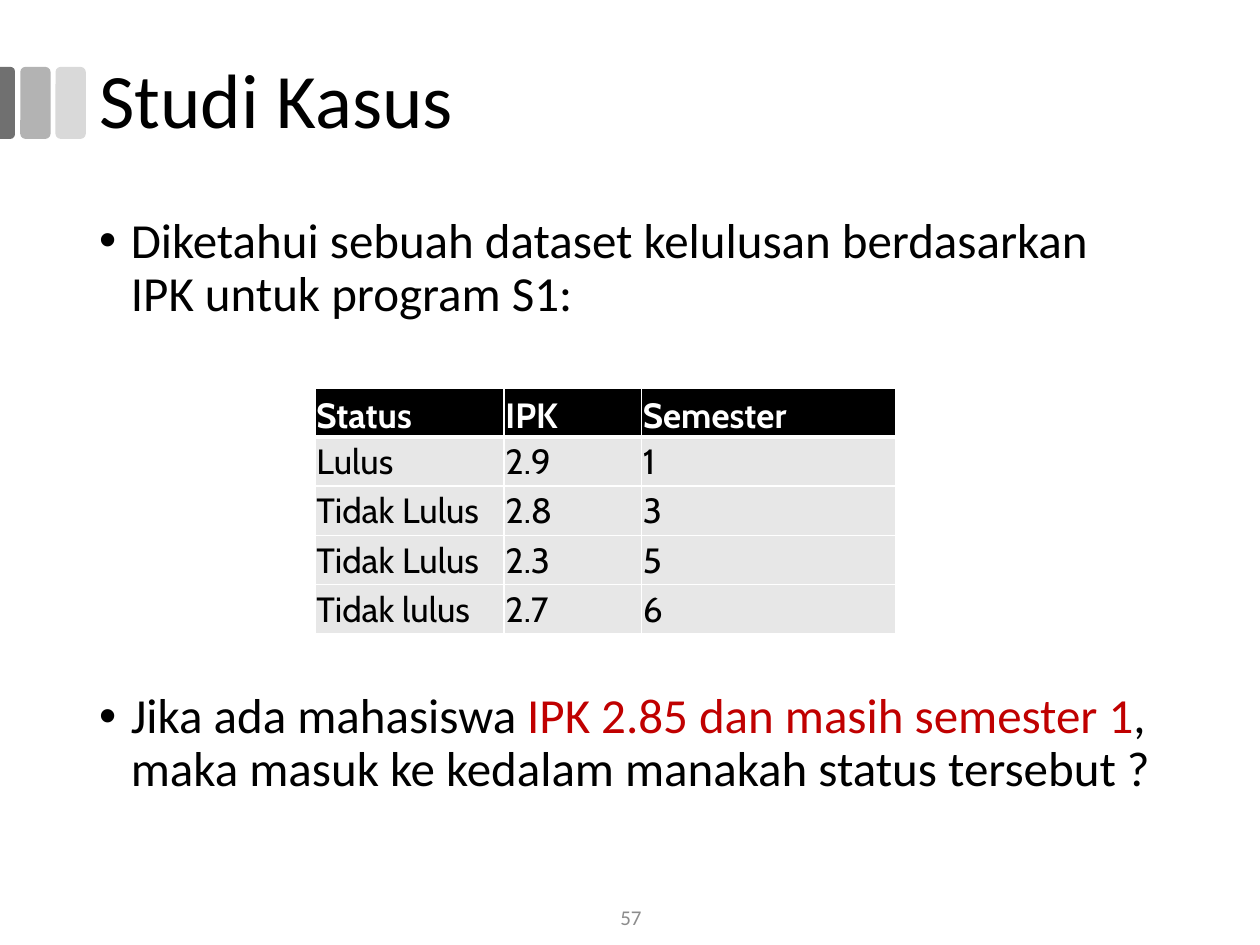
import pptx
import pptx.util
import pptx.dml.color
import pptx.enum.shapes
import pptx.enum.text
import pptx.oxml
import pptx.oxml.ns
import lxml.etree

Cm, Pt = pptx.util.Cm, pptx.util.Pt
RGB = pptx.dml.color.RGBColor.from_string
SHAPE = pptx.enum.shapes.MSO_SHAPE
ANCHOR = pptx.enum.text.MSO_ANCHOR
ALIGN = pptx.enum.text.PP_ALIGN
NO_FIT = pptx.enum.text.MSO_AUTO_SIZE.NONE
qn = pptx.oxml.ns.qn

TITLE = "Studi Kasus"
BULLETS = [
    (0, [("Diketahui sebuah dataset kelulusan berdasarkan IPK untuk program S1:", "body")]),
    (211, [("Jika ada mahasiswa ", "body"),
           ("IPK 2.85 dan masih semester 1", "accent"),
           (", maka masuk ke kedalam manakah status tersebut ?", "body")]),
]
TABLE = [
    ("Status", "IPK", "Semester"),
    ("Lulus", "2.9", "1"),
    ("Tidak Lulus", "2.8", "3"),
    ("Tidak Lulus", "2.3", "5"),
    ("Tidak lulus", "2.7", "6"),
]
PAGE = "57"

THEME = {
    "title": {"name": "Calibri", "size": Pt(44), "color": "000000"},
    "body": {"name": "Calibri", "size": Pt(28), "color": "000000"},
    "accent": {"name": "Calibri", "size": Pt(28), "color": "C00000"},
    "head": {"name": "Cabin", "size": Pt(20), "color": "FFFFFF", "bold": True},
    "cell": {"name": "Cabin", "size": Pt(20), "color": "000000", "bold": False},
    "page": {"name": "Calibri", "size": Pt(12), "color": "8C8C8C"},
    "head_fill": "000000",
    "cell_fill": "E7E7E7",
    "border": "FFFFFF",
    "bars": ["B3B3B3", "D9D9D9"],
    "edge_bar": "707070",
}
BAR = {"left": 0.41, "top": 1.35, "width": 0.61, "height": 1.45, "pitch": 0.71}
EDGE_WIDTH = 0.3
COLUMNS = [3.81, 2.77, 5.13]
ROW_HEIGHT = 0.99


def set_attrs(obj, values):
    for key, value in values.items():
        setattr(obj, key, value)


def add_run(p, text, style):
    r = p.add_run()
    r.text = text
    for key, value in THEME[style].items():
        if key == "color":
            r.font.color.rgb = RGB(value)
        else:
            setattr(r.font, key, value)


def add_bar(s, kind, box, color):
    sp = s.shapes.add_shape(kind, *map(Cm, box))
    sp.shadow.inherit = False
    sp.fill.solid()
    sp.fill.fore_color.rgb = RGB(color)
    sp.line.fill.background()
    return sp


def add_bars(s):
    for i, color in enumerate(THEME["bars"]):
        left = BAR["left"] + i * BAR["pitch"]
        add_bar(s, SHAPE.ROUNDED_RECTANGLE,
                (left, BAR["top"], BAR["width"], BAR["height"]), color)
    length = BAR["height"]
    box = ((EDGE_WIDTH - length) / 2, BAR["top"] + (length - EDGE_WIDTH) / 2,
           length, EDGE_WIDTH)
    sp = add_bar(s, SHAPE.ROUND_2_SAME_RECTANGLE, box, THEME["edge_bar"])
    sp.rotation = 90
    sp.adjustments[0] = 0.29


def add_title(s):
    sp = s.shapes.title
    set_attrs(sp, {"left": Cm(1.75), "top": Cm(0.43), "width": Cm(21.9), "height": Cm(3.33)})
    tf = sp.text_frame
    set_attrs(tf, {"vertical_anchor": ANCHOR.MIDDLE, "word_wrap": True, "auto_size": NO_FIT})
    p = tf.paragraphs[0]
    set_attrs(p, {"alignment": ALIGN.LEFT, "line_spacing": 0.9})
    add_run(p, TITLE, "title")


def add_bullets(s):
    tf = s.shapes.add_textbox(Cm(1.75), Cm(4.24), Cm(21.9), Cm(12.9)).text_frame
    set_attrs(tf, {"word_wrap": True, "auto_size": NO_FIT})
    for i, (space, runs) in enumerate(BULLETS):
        p = tf.add_paragraph() if i else tf.paragraphs[0]
        pPr = p._p.get_or_add_pPr()
        pPr.set("marL", str(Cm(0.64)))
        pPr.set("indent", str(-Cm(0.64)))
        lxml.etree.SubElement(pPr, qn("a:buFont")).set("typeface", "Arial")
        lxml.etree.SubElement(pPr, qn("a:buChar")).set("char", "•")
        set_attrs(p, {"line_spacing": 0.9, "space_before": Pt(space)})
        for text, style in runs:
            add_run(p, text, style)


def set_borders(cell, widths):
    tcPr = cell._tc.get_or_add_tcPr()
    for side, width in widths.items():
        ln = lxml.etree.SubElement(tcPr, qn("a:ln" + side))
        ln.set("w", str(Pt(width)))
        fill = lxml.etree.SubElement(ln, qn("a:solidFill"))
        lxml.etree.SubElement(fill, qn("a:srgbClr")).set("val", THEME["border"])


def add_status_table(s):
    frame = s.shapes.add_table(len(TABLE), len(COLUMNS), Cm(6.35), Cm(7.82),
                               Cm(sum(COLUMNS)), Cm(ROW_HEIGHT * len(TABLE)))
    table = frame.table
    table.horz_banding = False
    for column, width in zip(table.columns, COLUMNS):
        column.width = Cm(width)
    for i, values in enumerate(TABLE):
        table.rows[i].height = Cm(ROW_HEIGHT)
        kind = "cell" if i else "head"
        for j, text in enumerate(values):
            cell = table.cell(i, j)
            set_attrs(cell, {
                "margin_left": Cm(0.03), "margin_right": Cm(0.03),
                "margin_top": Cm(0.03), "margin_bottom": 0,
                "vertical_anchor": ANCHOR.MIDDLE if i else ANCHOR.BOTTOM,
            })
            set_borders(cell, {"L": 1, "R": 1, "T": 3 if i == 1 else 1, "B": 1 if i else 3})
            cell.fill.solid()
            cell.fill.fore_color.rgb = RGB(THEME[kind + "_fill"])
            add_run(cell.text_frame.paragraphs[0], text, kind)


def add_page_number(s):
    tf = s.shapes.add_textbox(Cm(9.86), Cm(17.98), Cm(5.72), Cm(1.02)).text_frame
    set_attrs(tf, {"word_wrap": True, "vertical_anchor": ANCHOR.MIDDLE, "auto_size": NO_FIT})
    p = tf.paragraphs[0]
    p.alignment = ALIGN.CENTER
    add_run(p, PAGE, "page")


def main():
    prs = pptx.Presentation()
    set_attrs(prs, {"slide_width": Cm(25.4), "slide_height": Cm(19.05)})
    s = prs.slides.add_slide(prs.slide_layouts.get_by_name("Title Only"))
    add_bars(s)
    add_title(s)
    add_bullets(s)
    add_status_table(s)
    add_page_number(s)
    prs.save("out.pptx")


if __name__ == "__main__":
    main()
